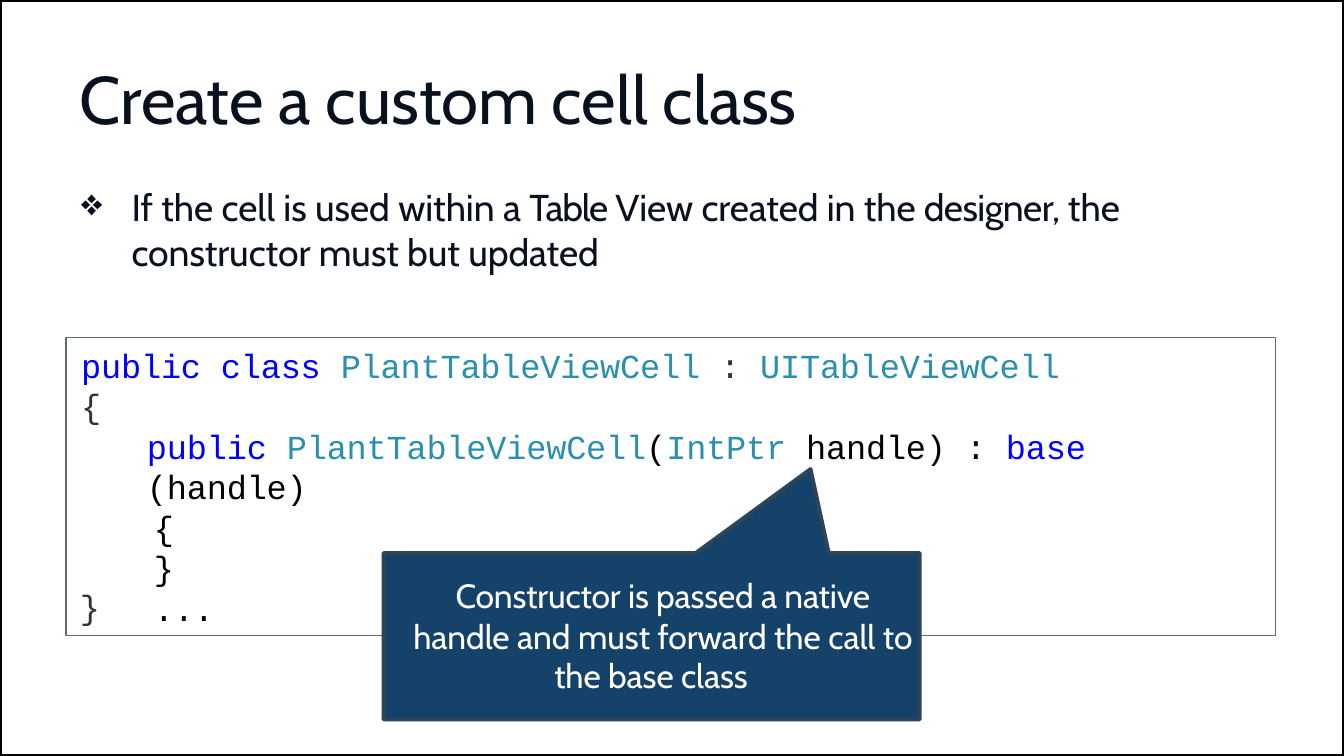
from lxml.etree import SubElement
from pptx import Presentation
from pptx.dml.color import RGBColor
from pptx.enum.shapes import MSO_SHAPE
from pptx.enum.text import MSO_ANCHOR, PP_ALIGN
from pptx.oxml.ns import qn
from pptx.util import Emu, Pt

PX = 9525
INK = RGBColor(0x0A, 0x11, 0x1E)
WHITE = RGBColor(0xFF, 0xFF, 0xFF)
BLACK = RGBColor(0x00, 0x00, 0x00)
KEYWORD = RGBColor(0x00, 0x00, 0xFF)
TYPE = RGBColor(0x2B, 0x8F, 0xAE)
SYMBOL = RGBColor(0x33, 0x33, 0x33)
FRAME = RGBColor(0x5F, 0x6D, 0x6E)
CALLOUT_FILL = RGBColor(0x15, 0x42, 0x69)
CALLOUT_LINE = RGBColor(0x2E, 0x44, 0x58)


def px(length):
    return Emu(length * PX)


class SlideBuilder:
    text_font = "Cabin"
    code_font = "Courier New"

    def __init__(self, slide):
        self.slide = slide

    def place(self, shape, left, top, width, height):
        shape.left, shape.top = px(left), px(top)
        shape.width, shape.height = px(width), px(height)

    def prepare(self, shape, wrap=True):
        frame = shape.text_frame
        frame.margin_left = frame.margin_right = 0
        frame.margin_top = frame.margin_bottom = 0
        frame.vertical_anchor = MSO_ANCHOR.TOP
        frame.word_wrap = wrap
        return frame

    def fill_paragraph(self, paragraph, runs, size, color=None, font=text_font, spacing=None,
                       align=PP_ALIGN.LEFT, margin=0, hanging=0, bullet=None):
        paragraph.alignment = align
        paragraph.font.name = font
        paragraph.font.size = Pt(size)
        if color is not None:
            paragraph.font.color.rgb = color
        if spacing:
            paragraph.line_spacing = Pt(spacing)
        properties = paragraph._p.get_or_add_pPr()
        properties.set("marL", str(px(margin)))
        properties.set("indent", str(px(-hanging)))
        if bullet:
            mark = SubElement(properties, qn("a:buChar"))
            mark.set("char", bullet)
            properties.insert_element_before(mark, "a:tabLst", "a:defRPr", "a:extLst")
        for text, run_color, tracking in runs:
            run = paragraph.add_run()
            run.text = text
            run.font.name = font
            run.font.size = Pt(size)
            run.font.color.rgb = color if run_color is None else run_color
            run._r.get_or_add_rPr().set("spc", str(tracking))

    def title(self, text, box, margin):
        shape = self.slide.shapes.title
        self.place(shape, *box)
        frame = self.prepare(shape)
        self.fill_paragraph(frame.paragraphs[0], [(text, None, -5)], 36, INK, margin=margin)

    def text(self, box, paragraphs, wrap=True, **style):
        shape = self.slide.shapes.add_textbox(*map(px, box))
        frame = self.prepare(shape, wrap)
        for index, (runs, layout) in enumerate(paragraphs):
            paragraph = frame.add_paragraph() if index else frame.paragraphs[0]
            self.fill_paragraph(paragraph, runs, **style, **layout)

    def code(self, box, lines, wrap=True):
        paragraphs = [([(text, color, -10) for text, color in runs], {"margin": margin})
                      for margin, runs in lines]
        self.text(box, paragraphs, wrap, size=18, font=self.code_font, spacing=21.7)

    def outline(self, box, color, width):
        shape = self.slide.shapes.add_shape(MSO_SHAPE.RECTANGLE, *map(px, box))
        shape.shadow.inherit = False
        shape.fill.background()
        shape.line.color.rgb = color
        shape.line.width = Pt(width)

    def callout(self, points):
        builder = self.slide.shapes.build_freeform(*points[0], scale=PX)
        builder.add_line_segments(points[1:], close=True)
        shape = builder.convert_to_shape()
        shape.shadow.inherit = False
        shape.fill.solid()
        shape.fill.fore_color.rgb = CALLOUT_FILL
        shape.line.color.rgb = CALLOUT_LINE
        shape.line.width = Pt(2)


def main():
    presentation = Presentation()
    presentation.slide_width, presentation.slide_height = px(960), px(540)
    slide = presentation.slides.add_slide(presentation.slide_layouts[5])
    builder = SlideBuilder(slide)

    builder.title("Create a custom cell class", (36, 41, 887, 58), 21)
    builder.text((57, 132, 840, 64), [
        ([("If the cell is used within a ", None, -3), ("Table ", None, -70),
          ("View created in the ", None, -5), ("designer, ", None, -30), ("the", None, 0)],
         {"margin": 37, "hanging": 36, "bullet": "❖"}),
        ([("constructor must but updated", None, -5)], {"margin": 37}),
    ], size=20, color=INK, spacing=23.8)

    builder.outline((47, 241, 864, 213), FRAME, 0.8)
    builder.code((57, 246, 840, 207), [
        (1, [("public class ", KEYWORD), ("PlantTableViewCell ", TYPE), (": ", SYMBOL),
             ("UITableViewCell", TYPE)]),
        (1, [("{", SYMBOL)]),
        (48, [("public ", KEYWORD), ("PlantTableViewCell", TYPE), ("(", BLACK),
              ("IntPtr ", TYPE), ("handle) : ", BLACK), ("base ", KEYWORD),
              ("(handle)", BLACK)]),
        (53, [("{", BLACK)]),
        (53, [("}", BLACK)]),
        (53, [("...", BLACK)]),
    ])
    builder.code((56, 418, 16, 32), [(1, [("}", SYMBOL)])], wrap=False)

    left, right, top, bottom = 274, 657, 395, 514
    builder.callout([(left, top), (497, top), (579, 335), (592, top),
                     (right, top), (right, bottom), (left, bottom)])
    centered = {"align": PP_ALIGN.CENTER}
    builder.text((284, 411, 379, 58), [
        ([("Constructor is passed a native", None, -8)], centered),
        ([("handle and must forward the call to", None, -3)], centered),
    ], size=18, color=WHITE)
    builder.text((395, 468, 213, 29), [([("the base class", None, -7)], {"margin": 1})],
                 size=18, color=WHITE)

    builder.outline((0, 0, 960, 540), BLACK, 2)
    presentation.save("out.pptx")


if __name__ == "__main__":
    main()
